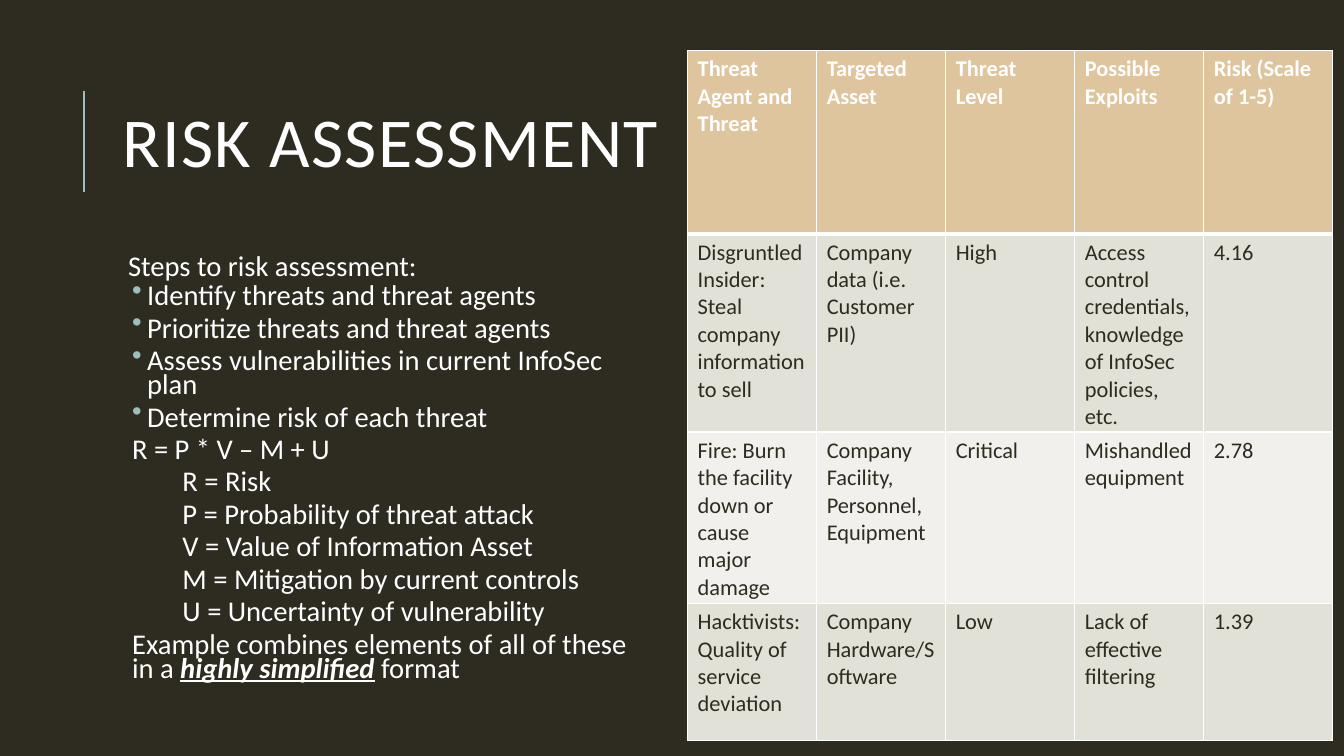
from lxml import etree
from pptx import Presentation
from pptx.dml.color import RGBColor
from pptx.enum.shapes import MSO_CONNECTOR
from pptx.enum.text import MSO_ANCHOR
from pptx.oxml.ns import qn
from pptx.util import Inches, Pt

STRAIGHT = MSO_CONNECTOR.STRAIGHT
MIDDLE = MSO_ANCHOR.MIDDLE
TOP = MSO_ANCHOR.TOP

FONT = "Calibri"
WHITE = "FFFFFF"
DARK = "2E2B21"
ACCENT = "9CBEBD"
HEADER_FILL = "DEC59E"
BAND_FILLS = ("E2E1D7", "F1F0EC")

STEPS = (
    "Identify threats and threat agents",
    "Prioritize threats and threat agents",
    "Assess vulnerabilities in current InfoSec plan",
    "Determine risk of each threat",
)
FORMULA = (
    "R = P * V – M + U",
    "\tR = Risk",
    "\tP = Probability of threat attack",
    "\tV = Value of Information Asset",
    "\tM = Mitigation by current controls",
    "\tU = Uncertainty of vulnerability",
)
RISKS = (
    ("Threat Agent and Threat", "Targeted Asset", "Threat Level",
     "Possible Exploits", "Risk (Scale of 1-5)"),
    ("Disgruntled Insider: Steal company information\nto sell",
     "Company data (i.e. Customer PII)", "High",
     "Access control credentials, knowledge of InfoSec policies, etc.", "4.16"),
    ("Fire: Burn the facility down or cause major damage",
     "Company Facility, Personnel, Equipment", "Critical",
     "Mishandled equipment", "2.78"),
    ("Hacktivists: Quality of service deviation",
     "Company Hardware/Software", "Low", "Lack of effective filtering", "1.39"),
)
ROW_HEIGHTS = (1.82, 1.36, 1.36, 1.36)
COLUMN_WIDTH = 1.28


def colour(value):
    return RGBColor.from_string(value)


def add_span(para, text, size, shade=WHITE, bold=False):
    span = para.add_run()
    span.text = text
    span.font.name = FONT
    span.font.size = Pt(size)
    span.font.color.rgb = colour(shade)
    span.font.bold = bold
    return span


def add_text_frame(page, left, top, width, height, anchor):
    box = page.shapes.add_textbox(
        Inches(left), Inches(top), Inches(width), Inches(height))
    frame = box.text_frame
    frame.word_wrap = True
    frame.vertical_anchor = anchor
    return frame


def add_rule(page):
    rule = page.shapes.add_connector(
        STRAIGHT, Inches(0.83), Inches(1.9), Inches(0.83), Inches(0.9))
    rule.line.color.rgb = colour(ACCENT)
    rule.line.width = Pt(1.5)
    etree.SubElement(rule._element.spPr, qn("a:effectLst"))


def add_title(page):
    frame = add_text_frame(page, 1.12, 0.64, 10.63, 1.64, MIDDLE)
    para = frame.paragraphs[0]
    para.line_spacing = 0.8
    span = add_span(para, "RISK ASSESSMENT", 50)
    span.font._element.set("spc", "100")


def style_para(para, margin, hanging=0, before=2, after=4):
    para.line_spacing = 0.7
    para.space_before = Pt(before)
    para.space_after = Pt(after)
    properties = para._p.get_or_add_pPr()
    properties.set("marL", str(Inches(margin)))
    properties.set("indent", str(-Inches(hanging)))
    return properties


def add_bullet(properties):
    shade = etree.SubElement(properties, qn("a:buClr"))
    etree.SubElement(shade, qn("a:srgbClr"), val=ACCENT)
    etree.SubElement(properties, qn("a:buChar"), char="•")


def add_body(page):
    size = 20.4
    frame = add_text_frame(page, 1.12, 2.5, 5.2, 4.4, TOP)
    frame.margin_left = frame.margin_right = Inches(0.05)
    frame.margin_top = frame.margin_bottom = Inches(0.05)

    lead = frame.paragraphs[0]
    style_para(lead, 0.1, before=12, after=2)
    add_span(lead, "Steps to risk assessment:", size)
    for step in STEPS:
        para = frame.add_paragraph()
        add_bullet(style_para(para, 0.29, 0.15))
        add_span(para, step, size)
    for line in FORMULA:
        para = frame.add_paragraph()
        style_para(para, 0.14)
        add_span(para, line, size)

    closing = frame.add_paragraph()
    style_para(closing, 0.14)
    add_span(closing, "Example combines elements of all of these in a ", size)
    stress = add_span(closing, "highly simplified", size, bold=True)
    stress.font.italic = True
    stress.font.underline = True
    add_span(closing, " format", size)


def set_borders(cell, top, bottom):
    properties = cell._tc.get_or_add_tcPr()
    widths = {"lnL": 1, "lnR": 1, "lnT": top, "lnB": bottom}
    for index, (side, width) in enumerate(widths.items()):
        border = etree.Element(qn("a:" + side), w=str(Pt(width)))
        fill = etree.SubElement(border, qn("a:solidFill"))
        etree.SubElement(fill, qn("a:srgbClr"), val=WHITE)
        properties.insert(index, border)


def fill_cell(cell, text, row):
    header = row == 0
    cell.fill.solid()
    cell.fill.fore_color.rgb = colour(
        HEADER_FILL if header else BAND_FILLS[(row - 1) % 2])
    set_borders(cell, 3 if row == 1 else 1, 3 if header else 1)
    for index, line in enumerate(text.split("\n")):
        frame = cell.text_frame
        para = frame.add_paragraph() if index else frame.paragraphs[0]
        add_span(para, line, 16, WHITE if header else DARK, header)


def add_risk_table(page):
    columns = len(RISKS[0])
    table = page.shapes.add_table(
        len(RISKS), columns, Inches(6.82), Inches(0.5),
        Inches(COLUMN_WIDTH * columns), Inches(sum(ROW_HEIGHTS))).table
    for column in table.columns:
        column.width = Inches(COLUMN_WIDTH)
    for row, texts in enumerate(RISKS):
        table.rows[row].height = Inches(ROW_HEIGHTS[row])
        for column, text in enumerate(texts):
            fill_cell(table.cell(row, column), text, row)


def main():
    deck = Presentation()
    deck.slide_width = Inches(13.33)
    deck.slide_height = Inches(7.5)
    page = deck.slides.add_slide(deck.slide_layouts[6])
    page.background.fill.solid()
    page.background.fill.fore_color.rgb = colour(DARK)
    add_rule(page)
    add_title(page)
    add_body(page)
    add_risk_table(page)
    deck.save("out.pptx")


main()
